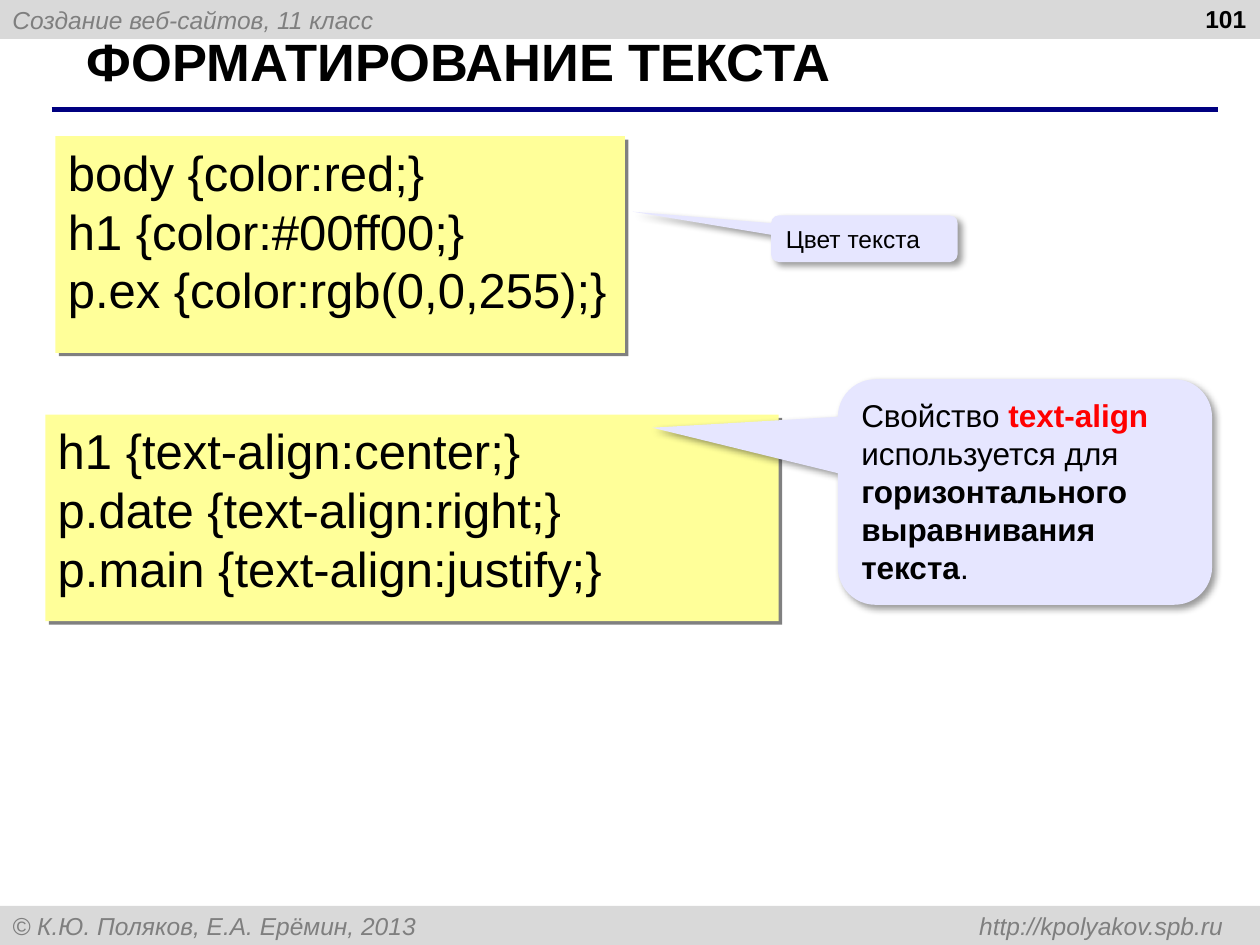
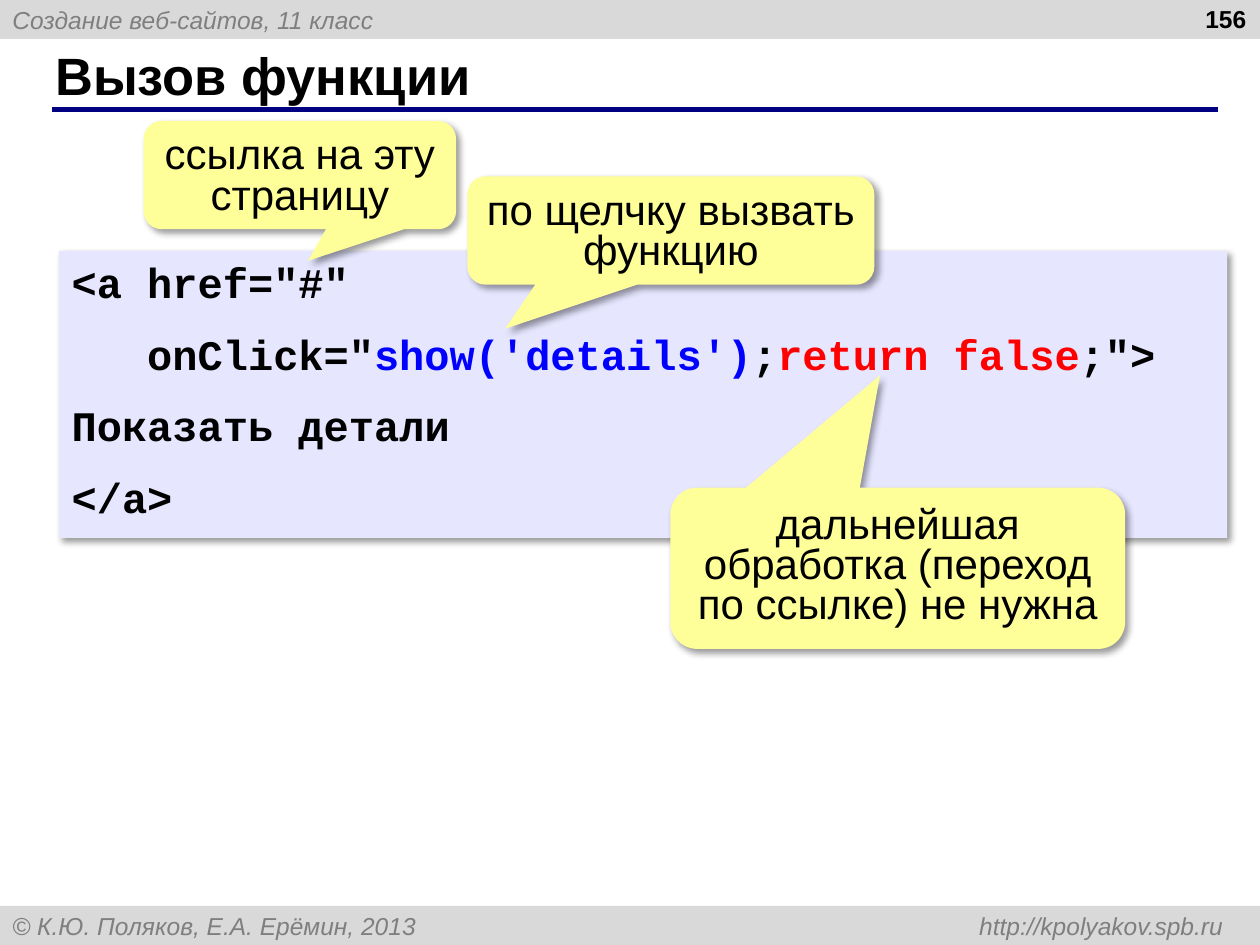
from lxml import etree
from pptx import Presentation
from pptx.dml.color import RGBColor
from pptx.enum import shapes, text
from pptx.oxml import ns
from pptx.util import Inches, Pt

BLACK, GREY, BAND, NAVY = "000000", "7F7F7F", "D9D9D9", "000080"
YELLOW, LILAC, RED, BLUE = "FFFF99", "E6E6FF", "FF0000", "0000FF"
SOFT_SHADOW = dict(color="000000", alpha=40, blur=4, dist=3)
HARD_SHADOW = dict(color="808080", alpha=100, blur=0, dist=2.8)
CODE_INSETS = (0.1, 0.05, 0, 0.05)
NOTE_INSETS = (0.1, 0.09, 0.1, 0.05)
LEFT, CENTER, RIGHT = text.PP_ALIGN.LEFT, text.PP_ALIGN.CENTER, text.PP_ALIGN.RIGHT
TOP, MIDDLE = text.MSO_ANCHOR.TOP, text.MSO_ANCHOR.MIDDLE
RECT = shapes.MSO_SHAPE.RECTANGLE
CALLOUT = shapes.MSO_SHAPE.ROUNDED_RECTANGULAR_CALLOUT


def rgb(value):
    return RGBColor.from_string(value)


def write(sp, paragraphs, size, font="Arial", color=BLACK, bold=False, italic=False,
          align=LEFT, anchor=TOP, insets=(0.1, 0.05, 0.1, 0.05), gap=0, spacing=None, tab=None):
    """Fill a shape; a paragraph is a string or a list of strings and (string, format) runs."""
    tf = sp.text_frame
    tf.word_wrap = True
    tf.vertical_anchor = anchor
    tf.margin_left, tf.margin_top, tf.margin_right, tf.margin_bottom = map(Inches, insets)
    for i, runs in enumerate(paragraphs):
        p = tf.add_paragraph() if i else tf.paragraphs[0]
        p.alignment = align
        if gap and i:
            p.space_before = Pt(gap)
        if spacing:
            p.line_spacing = spacing
        if tab:
            tabs = etree.SubElement(p._p.get_or_add_pPr(), ns.qn("a:tabLst"))
            etree.SubElement(tabs, ns.qn("a:tab"), pos=str(Inches(tab)), algn="r")
        for run in [runs] if isinstance(runs, str) else runs:
            content, own = (run, {}) if isinstance(run, str) else run
            r = p.add_run()
            r.text = content
            r.font.name, r.font.size = font, Pt(size)
            r.font.bold, r.font.italic = own.get("bold", bold), italic
            r.font.color.rgb = rgb(own.get("color", color))


def add_box(s, box, fill, kind=RECT, shadow=None):
    sp = s.shapes.add_shape(kind, *map(Inches, box))
    sp.fill.solid()
    sp.fill.fore_color.rgb = rgb(fill)
    sp.line.fill.background()
    sp.shadow.inherit = False
    if shadow:
        effects = sp.element.spPr.find(ns.qn("a:effectLst"))
        outer = etree.SubElement(effects, ns.qn("a:outerShdw"), blurRad=str(Pt(shadow["blur"])),
                                 dist=str(Pt(shadow["dist"])), dir=str(45 * 60000),
                                 algn="tl", rotWithShape="0")
        clr = etree.SubElement(outer, ns.qn("a:srgbClr"), val=shadow["color"])
        etree.SubElement(clr, ns.qn("a:alpha"), val=str(shadow["alpha"] * 1000))
    return sp


def add_label(s, box, label, **fmt):
    write(s.shapes.add_textbox(*map(Inches, box)), [label], **fmt)


def add_code(s, box, lines, fill, shadow, **fmt):
    write(add_box(s, box, fill, shadow=shadow), lines, insets=CODE_INSETS, **fmt)


def add_callout(s, box, tip, runs, fill, **fmt):
    """Add a speech bubble; tip is the pointer's offset from the centre, as shares of the size."""
    sp = add_box(s, box, fill, CALLOUT, SOFT_SHADOW)
    for i, value in enumerate((*tip, 0.167)):
        sp.adjustments[i] = value
    write(sp, [runs], **fmt)


def add_yellow_note(s, box, tip, note):
    add_callout(s, box, tip, note, YELLOW, size=24, align=CENTER, spacing=0.8, insets=NOTE_INSETS)


def new_slide(prs, title, title_box, number):
    """Start a slide with the shared bands, rule, title and page number."""
    s = prs.slides.add_slide(prs.slide_layouts[6])
    bands = ((0, "Создание веб-сайтов, 11 класс", None),
             (7.19, "© К.Ю. Поляков, Е.А. Ерёмин, 2013\thttp://kpolyakov.spb.ru", 9.61))
    for top, label, tab in bands:
        write(add_box(s, (0, top, 10, 0.31), BAND), [label], size=14, color=GREY,
              italic=True, anchor=MIDDLE, tab=tab)
    rule = s.shapes.add_connector(shapes.MSO_CONNECTOR.STRAIGHT,
                                  *map(Inches, (0.41, 0.87, 9.67, 0.87)))
    rule.line.color.rgb = rgb(NAVY)
    rule.line.width = Pt(3)
    etree.SubElement(rule.element.spPr, ns.qn("a:effectLst"))
    add_label(s, title_box, title, size=30, bold=True, anchor=MIDDLE)
    add_label(s, (7.66, -0.02, 2.33, 0.52), number, size=14, bold=True, align=RIGHT)
    return s


def text_formatting_slide(prs):
    s = new_slide(prs, "ФОРМАТИРОВАНИЕ ТЕКСТА", (0.59, 0.22, 9.16, 0.52), "101")
    add_code(s, (0.44, 1.08, 4.52, 1.72),
             ["body {color:red;}", "h1 {color:#00ff00;}", "p.ex {color:rgb(0,0,255);}"],
             YELLOW, HARD_SHADOW, size=28)
    add_callout(s, (6.12, 1.71, 1.48, 0.37), (-1.243, -0.58), "Цвет текста", LILAC, size=14)
    add_code(s, (0.36, 3.29, 5.82, 1.64),
             ["h1 {text-align:center;}", "p.date {text-align:right;}",
              "p.main {text-align:justify;}"],
             YELLOW, HARD_SHADOW, size=28)
    add_callout(s, (6.65, 3.01, 2.97, 1.79), (-0.996, -0.285),
                ["Свойство ", ("text-align", dict(color=RED, bold=True)), " используется для ",
                 ("горизонтального выравнивания текста", dict(bold=True)), "."],
                LILAC, size=18)


def function_call_slide(prs):
    s = new_slide(prs, "Вызов функции", (0.34, 0.33, 9.16, 0.52), "156")
    add_code(s, (0.47, 1.99, 9.27, 2.28),
             ['<a href="#"',
              ['   onClick="', ("show('details')", dict(color=BLUE)), ";",
               ("return false", dict(color=RED)), ';">'],
              "Показать детали",
              "</a>"],
             LILAC, SOFT_SHADOW, size=24, font="Courier New", bold=True, gap=12)
    add_yellow_note(s, (1.14, 0.96, 2.48, 0.86), (0.026, 0.791), "ссылка на эту страницу")
    add_yellow_note(s, (5.32, 3.87, 3.61, 1.28), (-0.039, -1.196),
                    "дальнейшая обработка (переход по ссылке) не нужна")
    add_yellow_note(s, (3.71, 1.4, 3.23, 0.86), (-0.407, 0.906), "по щелчку вызвать функцию")


def main():
    prs = Presentation()
    prs.slide_width, prs.slide_height = Inches(10), Inches(7.5)
    text_formatting_slide(prs)
    function_call_slide(prs)
    prs.save("out.pptx")


if __name__ == "__main__":
    main()
